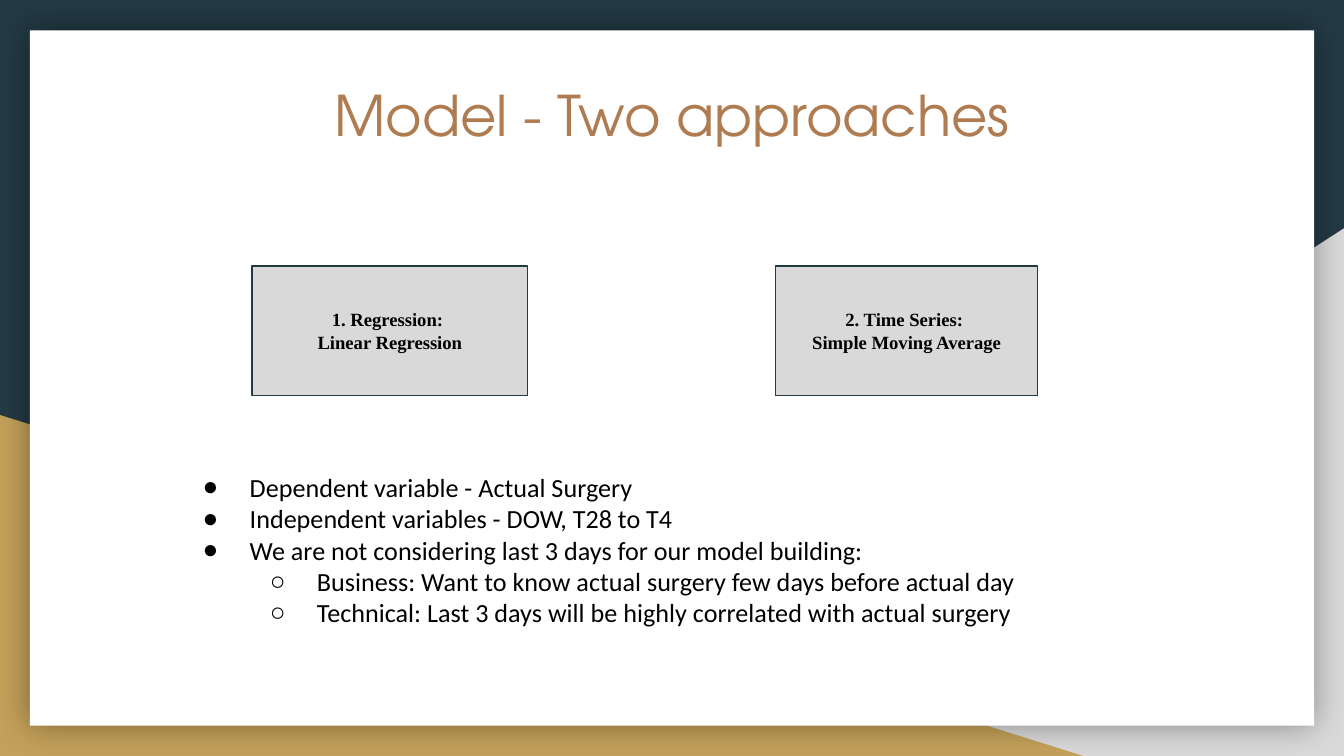
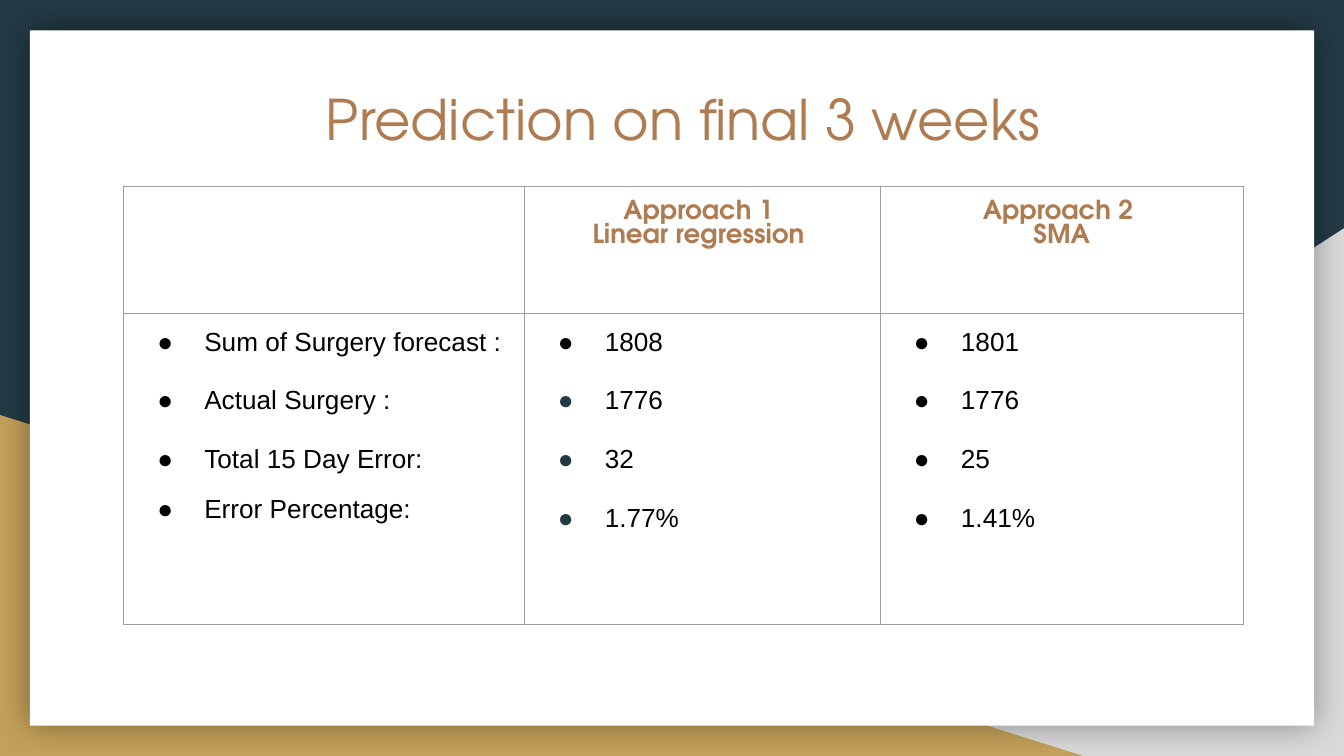
from lxml.etree import SubElement
from pptx import Presentation
from pptx.dml.color import RGBColor
from pptx.enum.shapes import MSO_SHAPE
from pptx.enum.text import MSO_ANCHOR, PP_ALIGN
from pptx.oxml import parse_xml
from pptx.oxml.ns import nsdecls, qn
from pptx.util import Inches, Pt

COLORS = {"navy": "233A44", "gold": "C4A15A", "grey": "D9D9D9", "white": "FFFFFF",
          "copper": "AF7B51", "black": "000000", "border": "9E9E9E"}
RGB = {name: RGBColor.from_string(value) for name, value in COLORS.items()}

# Text formats: font attributes and colour
TITLE = {"name": "TeX Gyre Adventor", "size": Pt(30), "color": "copper"}
HEADER = {**TITLE, "size": Pt(14), "bold": True}
BODY = {"name": "Calibri", "size": Pt(14), "color": "black"}
CELL = {**BODY, "name": "Arial"}
LABEL = {"name": "Times New Roman", "size": Pt(10), "bold": True, "color": "black"}
CENTER = {"alignment": PP_ALIGN.CENTER}
MARGINS = ("margin_left", "margin_top", "margin_right", "margin_bottom")

prs = Presentation()
prs.slide_width, prs.slide_height = Inches(10), Inches(5.625)


def area(x, y, w, h):
    """Turn percentages of the slide into left, top, width and height."""
    sides = (prs.slide_width, prs.slide_height) * 2
    return [int(side * share / 100) for side, share in zip(sides, (x, y, w, h))]


def write(tf, lines, font, para=CENTER):
    """Write lines of (text, paragraph format, bullet level, bullet colour)."""
    tf.word_wrap = True
    for margin in MARGINS:
        setattr(tf, margin, Inches(0.1))
    for i, line in enumerate(lines):
        text, extra, level, bullet = (*line, *({}, None, None)[len(line) - 1:])
        p = tf.paragraphs[0] if i == 0 else tf.add_paragraph()
        r = p.add_run()
        r.text = text
        for key, value in {**para, **extra}.items():
            setattr(p, key, value)
        for key, value in font.items():
            if key == "color":
                r.font.color.rgb = RGB[value]
            else:
                setattr(r.font, key, value)
        if bullet:
            p.level = level
            pPr = p._p.get_or_add_pPr()
            pPr.set("marL", str(Inches(0.5 * (level + 1))))
            pPr.set("indent", str(Inches(-0.35)))
            SubElement(SubElement(pPr, qn("a:buClr")), qn("a:srgbClr"), val=COLORS[bullet])
            SubElement(pPr, qn("a:buFont"), typeface="Arial")
            SubElement(pPr, qn("a:buChar"), char="●○"[level])


# Shared backdrop and titles
BACKDROP = [(MSO_SHAPE.RIGHT_TRIANGLE, (39.2, 30.2, 60.8, 69.8), "grey"),
            (MSO_SHAPE.RIGHT_TRIANGLE, (0, 54.9, 80.6, 45.1), "gold"),
            (MSO_SHAPE.RECTANGLE, (2.23, 4, 95.55, 92), "white")]
TITLES = [("Model - Two approaches", (8.95, 8.9, 82.1, 12.5)),
          (" Prediction on final 3 weeks", (9.2, 9.45, 82.1, 12.8))]
for title, place in TITLES:
    s = prs.slides.add_slide(prs.slide_layouts[6])
    s.background.fill.solid()
    s.background.fill.fore_color.rgb = RGB["navy"]
    for kind, spot, color in BACKDROP:
        sp = s.shapes.add_shape(kind, *area(*spot))
        sp.shadow.inherit = False
        sp.fill.solid()
        sp.fill.fore_color.rgb = RGB[color]
        sp.line.fill.background()
        if color == "grey":
            sp._element.spPr.find(qn("a:xfrm")).set("flipH", "1")
    # Soft shadow around the white panel
    glow = SubElement(sp._element.spPr.find(qn("a:effectLst")), qn("a:outerShdw"),
                      blurRad=str(Pt(18)), dist="0", dir="0", algn="ctr", rotWithShape="0")
    tint = SubElement(glow, qn("a:srgbClr"), val=COLORS["black"])
    SubElement(tint, qn("a:alpha"), val="40000")
    write(s.shapes.add_textbox(*area(*place)).text_frame, [(title,)], TITLE)

# Slide 1: two approaches
s = prs.slides[0]
points = [("Dependent variable - Actual Surgery", 0),
          ("Independent variables - DOW, T28 to T4", 0),
          ("We are not considering last 3 days for our model building:", 0),
          ("Business: Want to know actual surgery few days before actual day", 1),
          ("Technical: Last 3 days will be highly correlated with actual surgery", 1)]
write(s.shapes.add_textbox(*area(12.6, 60.55, 64.7, 25)).text_frame,
      [(text, {}, level, "black") for text, level in points], BODY, {})

approaches = [(18.75, 20.5, "1. Regression: ", "Linear Regression"),
              (57.7, 19.5, "2. Time Series: ", "Simple Moving Average")]
for x, w, *lines in approaches:
    sp = s.shapes.add_shape(MSO_SHAPE.RECTANGLE, *area(x, 35.2, w, 17.1))
    sp.shadow.inherit = False
    sp.fill.solid()
    sp.fill.fore_color.rgb = RGB["grey"]
    sp.line.color.rgb = RGB["navy"]
    sp.line.width = Pt(0.75)
    sp.text_frame.vertical_anchor = MSO_ANCHOR.MIDDLE
    write(sp.text_frame, [(line,) for line in lines], LABEL)

# Slide 2: results table
s = prs.slides[1]
widths, heights = (29.8, 26.5, 27), (16.85, 41.1)
headers = [(), ("Approach 1 ", "Linear regression "), ("Approach 2 ", " SMA ")]
results = [("Sum of Surgery forecast :", "Actual Surgery :", "Total 15 Day Error:",
            "Error Percentage:"),
           ("1808", "1776", "32", "1.77%"),
           ("1801", "1776", "25", "1.41%")]
tb = s.shapes.add_table(2, 3, *area(9.2, 24.67, sum(widths), sum(heights))).table
tb.first_row = tb.horz_banding = False
for row, h in zip(tb.rows, heights):
    row.height = area(0, 0, 0, h)[3]
for c, w in enumerate(widths):
    tb.columns[c].width = area(0, 0, w, 0)[2]
    write(tb.cell(0, c).text_frame, [(line,) for line in headers[c]], HEADER)
    lines = []
    for i, text in enumerate(results[c]):
        gap = 0 if i == 0 else 11 if (c, i) == (0, 3) else 15.8
        color = "navy" if c == 1 and i else "black"
        lines.append((text, {"space_before": Pt(gap)}, 0, color))
    write(tb.cell(1, c).text_frame, lines, CELL, {})

# Cell margins, borders and fill
for cell in tb.iter_cells():
    for margin in MARGINS:
        setattr(cell, margin, Inches(0.1))
    for side in "LRTB":
        cell._tc.get_or_add_tcPr().append(parse_xml(
            f'<a:ln{side} {nsdecls("a")} w="{Pt(0.75)}"><a:solidFill>'
            f'<a:srgbClr val="{COLORS["border"]}"/></a:solidFill></a:ln{side}>'))
    cell.fill.background()

prs.save("out.pptx")
